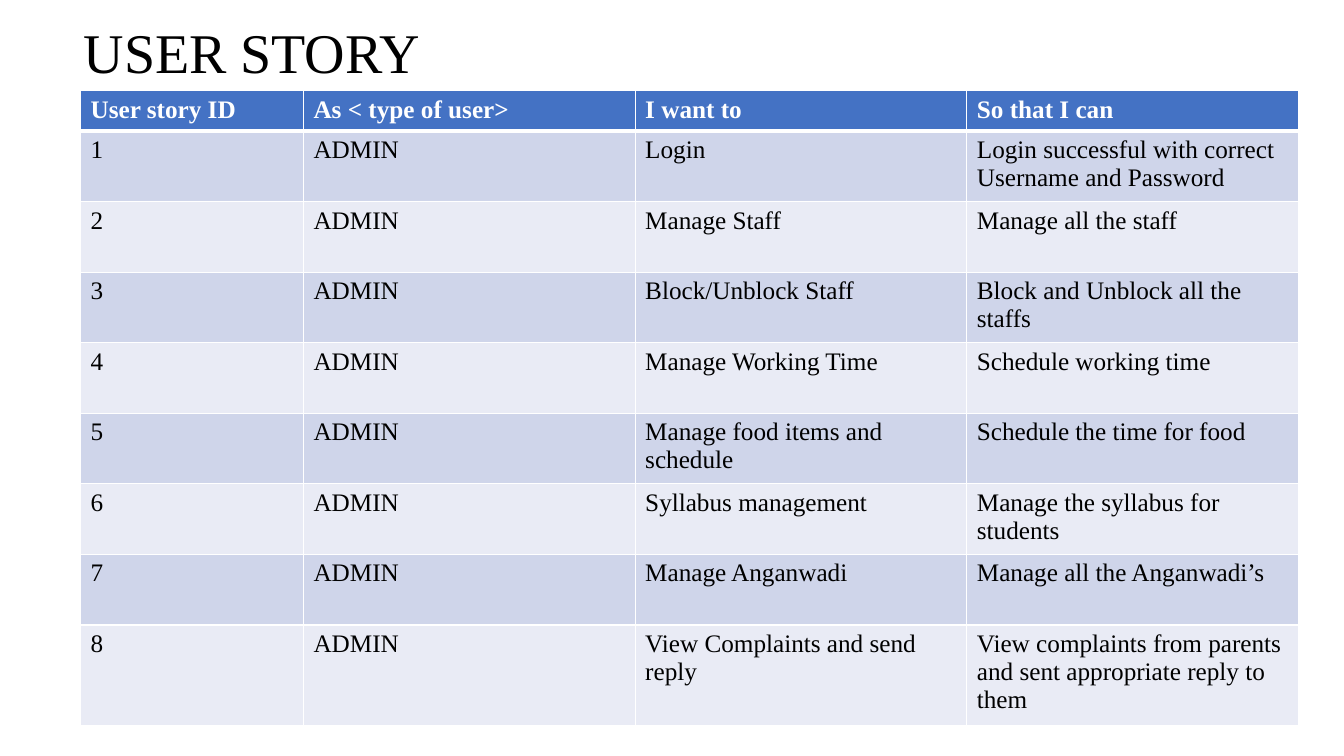
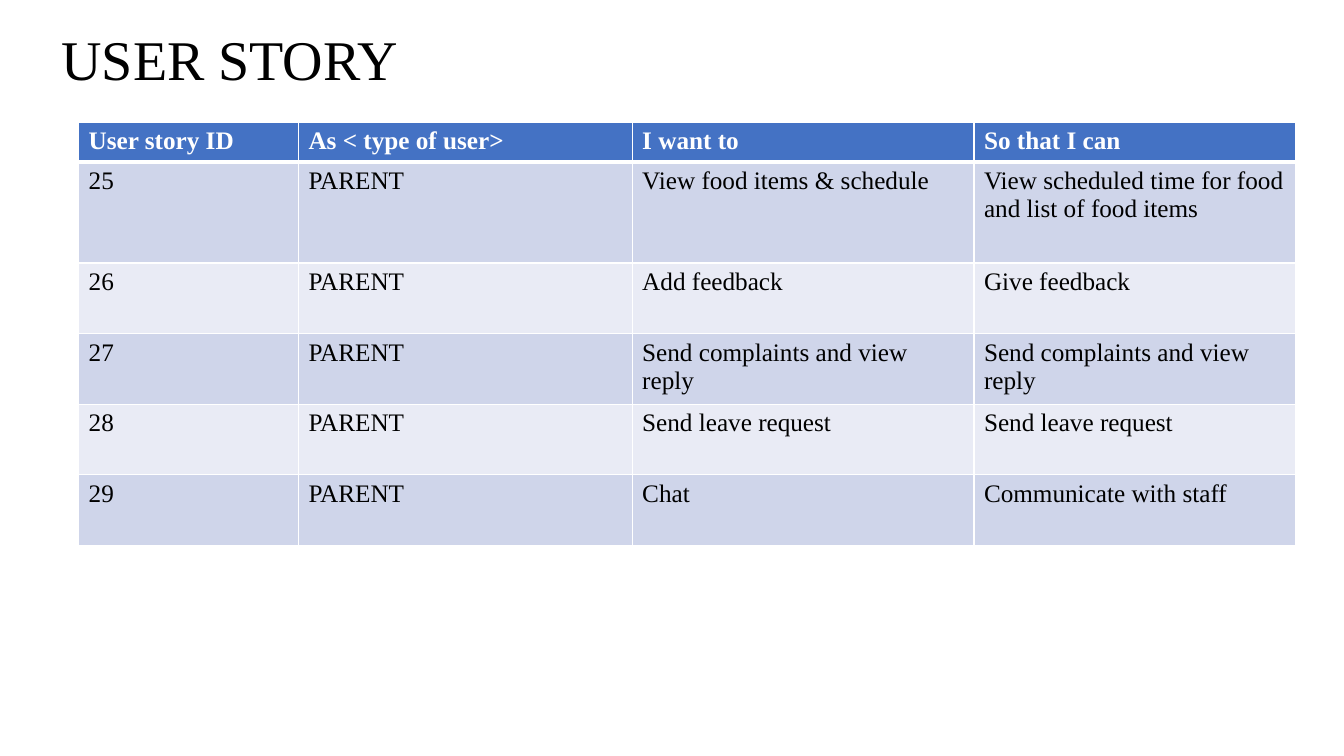
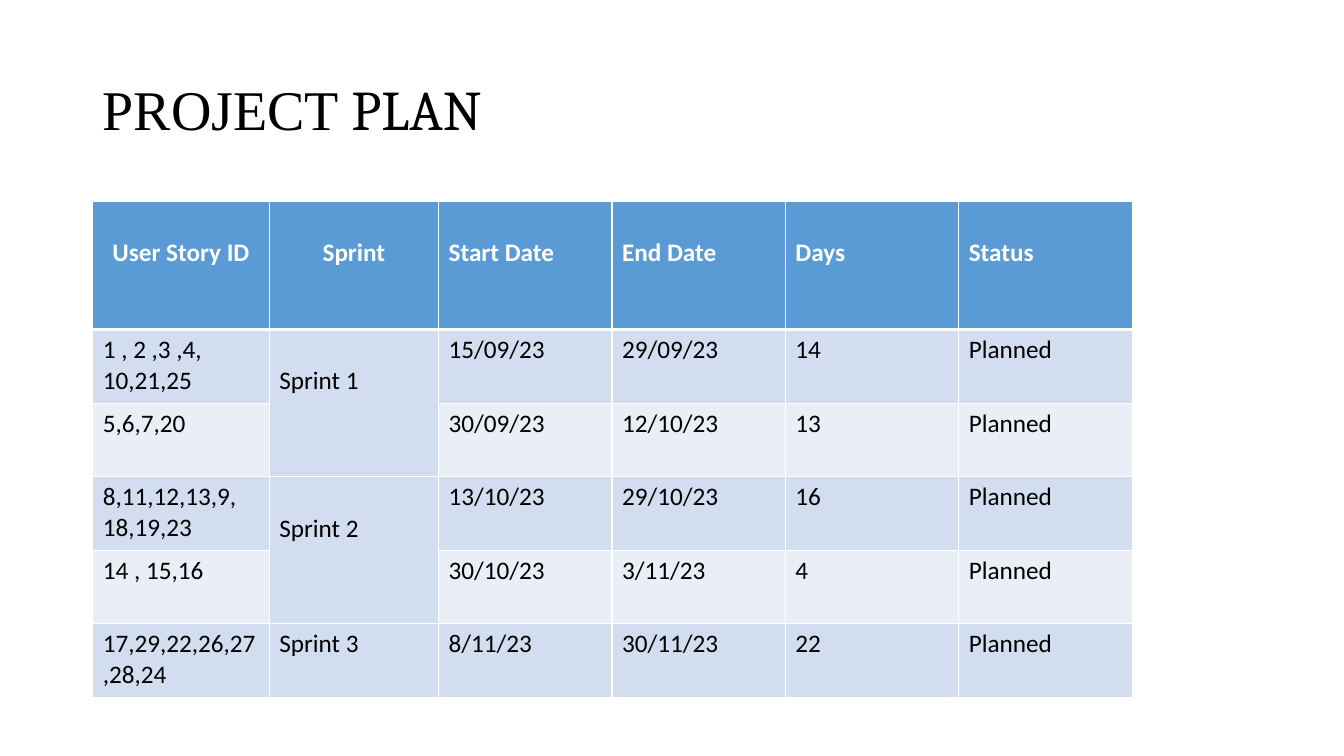
from lxml.etree import SubElement
from pptx import Presentation
from pptx.dml.color import RGBColor
from pptx.enum.text import MSO_ANCHOR, MSO_AUTO_SIZE, PP_ALIGN
from pptx.oxml.ns import qn
from pptx.util import Inches, Pt

COLORS = {"ink": "000000", "paper": "FFFFFF"}
STORY_BANDS = {"header": "4472C4", "odd": "CFD5EA", "even": "E9EBF5"}
PLAN_BANDS = {"header": "5B9BD5", "odd": "D2DEEF", "even": "EAEFF7"}
SERIF, SANS, TITLE_ACCENT = "Times New Roman", "Calibri", "Cambria"
LOWERED_MARGIN = 0.36

STORY_HEADER = ["User story ID", "As < type of user>", "I want to", "So that I can"]
ADMIN_STORIES = [
    ("Login", "Login successful with correct Username and Password"),
    ("Manage Staff", "Manage all the staff"),
    ("Block/Unblock Staff", "Block and Unblock all the staffs"),
    ("Manage Working Time", "Schedule working time"),
    ("Manage food items and schedule", "Schedule the time for food"),
    ("Syllabus management", "Manage the syllabus for students"),
    ("Manage Anganwadi", "Manage all the Anganwadi’s"),
    ("View Complaints and send reply",
     "View complaints from parents and sent appropriate reply to them"),
]
PARENT_STORIES = [
    ("View food items & schedule", "View scheduled time for food and list of food items"),
    ("Add feedback", "Give feedback"),
    ("Send complaints and view reply", "Send complaints and view reply"),
    ("Send leave request", "Send leave request"),
    ("Chat", "Communicate with staff"),
]
PLAN_HEADER = ["User Story ID", "Sprint", "Start Date", "End Date", "Days", "Status"]
SPRINTS = [
    ("1 , 2 ,3 ,4,\n10,21,25", "Sprint 1", "15/09/23", "29/09/23", "14", "Planned"),
    ("5,6,7,20", "", "30/09/23", "12/10/23", "13", "Planned"),
    ("8,11,12,13,9,\n18,19,23", "Sprint 2", "13/10/23", "29/10/23", "16", "Planned"),
    ("14 , 15,16", "", "30/10/23", "3/11/23", "4", "Planned"),
    ("17,29,22,26,27,28,24", "Sprint 3", "8/11/23", "30/11/23", "22", "Planned"),
]


def add_run(paragraph, text, size, font, color, bold=False):
    """Append one formatted run to a paragraph."""
    run = paragraph.add_run()
    run.text = text
    run.font.size = Pt(size)
    run.font.name = font
    run.font.bold = bold
    run.font.color.rgb = RGBColor.from_string(COLORS[color])


def add_titled_slide(prs, left, top, width, title_runs):
    """Add a slide whose title is made of (text, font) runs."""
    slide = prs.slides.add_slide(prs.slide_layouts[5])
    title = slide.shapes.title
    title.left, title.top = Inches(left), Inches(top)
    title.width, title.height = Inches(width), Inches(0.77)
    frame = title.text_frame
    frame.auto_size = MSO_AUTO_SIZE.NONE
    frame.vertical_anchor = MSO_ANCHOR.BOTTOM
    frame.paragraphs[0].alignment = PP_ALIGN.LEFT
    for text, font in title_runs:
        add_run(frame.paragraphs[0], text, 40, font, "ink")
    return slide


def set_borders(cell, top, bottom):
    """Draw white cell borders, with top and bottom widths in points."""
    properties = cell._tc.get_or_add_tcPr()
    for side, width in (("L", 1), ("R", 1), ("T", top), ("B", bottom)):
        line = SubElement(properties, qn(f"a:ln{side}"), w=str(Pt(width)))
        fill = SubElement(line, qn("a:solidFill"))
        SubElement(fill, qn("a:srgbClr"), val=COLORS["paper"])


def fill_cell(cell, text, row, font, bands):
    """Write and colour a cell according to its row."""
    is_header = row == 0
    set_borders(cell, 3 if row == 1 else 1, 3 if is_header else 1)
    band = "header" if is_header else "odd" if row % 2 else "even"
    cell.fill.solid()
    cell.fill.fore_color.rgb = RGBColor.from_string(bands[band])
    if not text:
        return
    frame = cell.text_frame
    for number, line in enumerate(text.split("\n")):
        paragraph = frame.add_paragraph() if number else frame.paragraphs[0]
        add_run(paragraph, line, 18, font, "paper" if is_header else "ink", is_header)


def add_grid(slide, left, top, widths, heights, rows, font, bands):
    """Add a banded table with the given column widths and row heights."""
    table = slide.shapes.add_table(
        len(rows), len(widths), Inches(left), Inches(top),
        Inches(sum(widths)), Inches(sum(heights))).table
    for column, width in zip(table.columns, widths):
        column.width = Inches(width)
    for r, (values, height) in enumerate(zip(rows, heights)):
        table.rows[r].height = Inches(height)
        for c, text in enumerate(values):
            fill_cell(table.cell(r, c), text, r, font, bands)
    return table


def add_story_table(slide, left, top, widths, heights, user, first_id, stories):
    """Add a table of numbered stories for one type of user."""
    rows = [STORY_HEADER] + [
        (str(story_id), user, *story) for story_id, story in enumerate(stories, first_id)]
    add_grid(slide, left, top, widths, heights, rows, SERIF, STORY_BANDS)


def add_plan_table(slide):
    """Add the sprint plan with its merged sprint cells."""
    table = add_grid(slide, 0.92, 2, [1.75, 1.68] + [1.72] * 4, [1.27] + [0.73] * 5,
                     [PLAN_HEADER] + SPRINTS, SANS, PLAN_BANDS)
    for c in range(len(PLAN_HEADER)):
        table.cell(0, c).margin_top = Inches(LOWERED_MARGIN)
    for c in (0, 1):
        table.cell(0, c).text_frame.paragraphs[0].alignment = PP_ALIGN.CENTER
    for r in (1, 3):
        sprint = table.cell(r, 1)
        sprint.merge(table.cell(r + 1, 1))
        sprint.margin_top = Inches(LOWERED_MARGIN)


def main():
    """Build and save the presentation."""
    prs = Presentation()
    prs.slide_width, prs.slide_height = Inches(13.33), Inches(7.5)

    admin = add_titled_slide(prs, 0.73, 0.12, 3.67, [("USER STORY", SERIF)])
    add_story_table(admin, 0.8, 0.9, [2.21] + [3.29] * 3, [0.4] + [0.7] * 7 + [1],
                    "ADMIN", 1, ADMIN_STORIES)

    parent = add_titled_slide(prs, 0.51, 0.19, 3.85, [("USER STORY", SERIF)])
    add_story_table(parent, 0.78, 1.21, [2.18, 3.31, 3.39, 3.19], [0.4, 1] + [0.7] * 4,
                    "PARENT", 25, PARENT_STORIES)

    plan = add_titled_slide(prs, 0.92, 0.69, 5.16,
                            [("PROJECT", SERIF), (" PLAN", TITLE_ACCENT)])
    add_plan_table(plan)
    prs.save("out.pptx")


if __name__ == "__main__":
    main()
